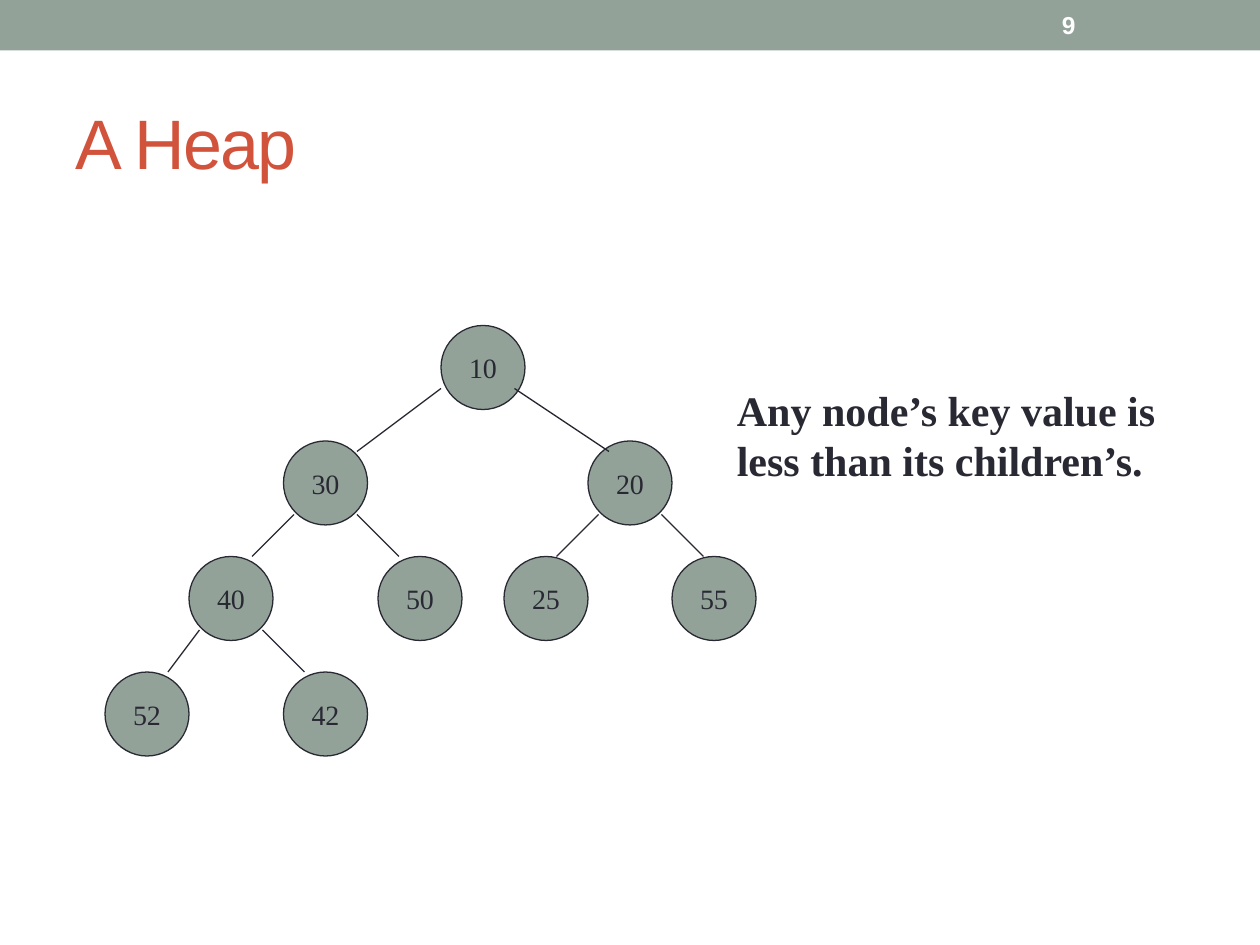
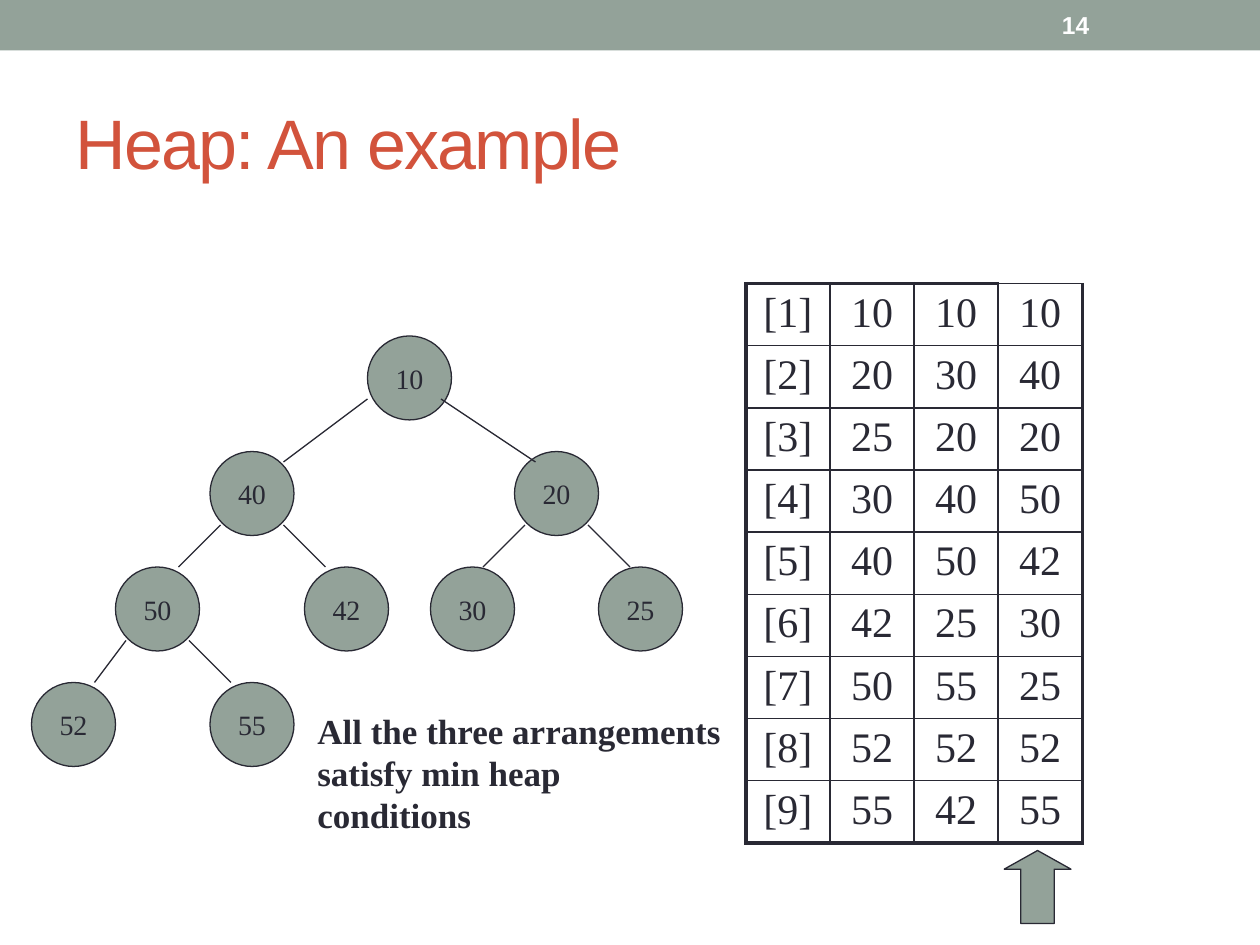
"""Build two slides that show a heap as a tree and as an array."""
from dataclasses import dataclass

from lxml import etree
from pptx import Presentation
from pptx.dml.color import RGBColor
from pptx.enum.shapes import MSO_CONNECTOR, MSO_SHAPE
from pptx.enum.text import MSO_ANCHOR, MSO_AUTO_SIZE, PP_ALIGN
from pptx.oxml.ns import qn
from pptx.util import Inches, Pt

RECTANGLE, CIRCLE, UP_ARROW = MSO_SHAPE.RECTANGLE, MSO_SHAPE.OVAL, MSO_SHAPE.UP_ARROW
STRAIGHT = MSO_CONNECTOR.STRAIGHT
MIDDLE, TOP = MSO_ANCHOR.MIDDLE, MSO_ANCHOR.TOP
LEFT, CENTER = PP_ALIGN.LEFT, PP_ALIGN.CENTER
NO_FIT = MSO_AUTO_SIZE.NONE
TITLE_ONLY = 5


@dataclass(frozen=True)
class Theme:
    sage: RGBColor = RGBColor(0x93, 0xA2, 0x99)
    ink: RGBColor = RGBColor(0x29, 0x29, 0x34)
    red: RGBColor = RGBColor(0xD2, 0x53, 0x3C)
    white: RGBColor = RGBColor(0xFF, 0xFF, 0xFF)
    sans: str = "Arial"
    serif: str = "Times New Roman"
    title_size: int = 40
    number_size: int = 14
    node_size: int = 16
    cell_size: int = 24
    first_caption_size: int = 24
    second_caption_size: int = 20
    thin: float = 0.75
    grid: float = 1
    frame: float = 2.25


GRID_STEP = 1 / 12
NODE_STEPS = 8
NODE_OFFSETS = [
    (0, 0),
    (-15, 11), (14, 11),
    (-24, 22), (-6, 22), (6, 22), (22, 22),
    (-32, 33), (-15, 33),
]
EDGE_OFFSETS = [
    (0, 6, -8, 12), (7, 6, 16, 12),
    (-14, 18, -18, 22), (-8, 18, -4, 22), (15, 18, 11, 22), (21, 18, 25, 22),
    (-23, 29, -26, 33), (-17, 29, -13, 33),
]

SORTED_HEAP = [10, 20, 25, 30, 40, 42, 50, 52, 55]
FIRST_HEAP = [10, 30, 20, 40, 50, 25, 55, 52, 42]
LAST_HEAP = [10, 40, 20, 50, 42, 30, 25, 52, 55]


def apply_format(target, values):
    for name, value in values.items():
        setattr(target, name, value)


class HeapDeck:
    def __init__(self, theme):
        self.theme = theme
        self.slide = None
        self.presentation = Presentation()
        apply_format(self.presentation, {"slide_width": Inches(10), "slide_height": Inches(7.5)})
        self.layout = self.presentation.slide_layouts[TITLE_ONLY]

    def start_slide(self, title, number):
        first = self.slide is None
        self.slide = self.presentation.slides.add_slide(self.layout)
        if first:
            self.share_band()
        self.add_title(title)
        self.add_text([number], (8.33, 0.02, 1.17, 0.36), self.theme.number_size,
                      self.theme.sans, self.theme.white, MIDDLE)

    def share_band(self):
        band = self.add_shape(RECTANGLE, (0, 0, 10, 0.4))
        band.line.fill.background()
        self.layout.element.cSld.spTree.insert(2, band.element)

    def add_title(self, title):
        theme = self.theme
        placeholder = self.slide.shapes.title
        box = zip(("left", "top", "width", "height"), map(Inches, (0.5, 0.58, 9, 1.08)))
        apply_format(placeholder, dict(box))
        self.set_text(placeholder.text_frame, [title], theme.title_size, theme.sans, theme.red)
        run = placeholder.text_frame.paragraphs[0].runs[0]
        run.font._element.set("spc", "-100")

    def set_text(self, frame, lines, size, font, color, bold=False, align=LEFT,
                 anchor=MIDDLE, wrap=True):
        apply_format(frame, {"auto_size": NO_FIT, "word_wrap": wrap, "vertical_anchor": anchor})
        self.add_lines(frame, lines, size, font, color, bold, align)

    def add_lines(self, frame, lines, size, font, color, bold, align):
        for index, line in enumerate(lines):
            paragraph = frame.add_paragraph() if index else frame.paragraphs[0]
            paragraph.alignment = align
            run = paragraph.add_run()
            run.text = line
            apply_format(run.font, {"size": Pt(size), "name": font, "bold": bold})
            run.font.color.rgb = color

    def add_text(self, lines, box, size, font, color, anchor=TOP):
        shape = self.slide.shapes.add_textbox(*map(Inches, box))
        self.set_text(shape.text_frame, lines, size, font, color, bold=True, anchor=anchor)

    def add_caption(self, lines, box, size):
        self.add_text(lines, box, size, self.theme.serif, self.theme.ink)

    def add_shape(self, kind, box):
        shape = self.slide.shapes.add_shape(kind, *map(Inches, box))
        shape.shadow.inherit = False
        shape.fill.solid()
        shape.fill.fore_color.rgb = self.theme.sage
        self.format_line(shape.line)
        return shape

    def format_line(self, line):
        line.color.rgb = self.theme.ink
        line.width = Pt(self.theme.thin)

    def add_node(self, key, left, top):
        size = NODE_STEPS * GRID_STEP
        node = self.add_shape(CIRCLE, (left, top, size, size))
        self.set_text(node.text_frame, [str(key)], self.theme.node_size, self.theme.serif,
                      self.theme.ink, align=CENTER, wrap=False)

    def add_edge(self, ends):
        edge = self.slide.shapes.add_connector(STRAIGHT, *map(Inches, ends))
        self.format_line(edge.line)
        etree.SubElement(edge.element.spPr, qn("a:effectLst"))

    def add_tree(self, keys, root_column, root_row):
        for key, (column, row) in zip(keys, NODE_OFFSETS):
            self.add_node(key, (root_column + column) * GRID_STEP, (root_row + row) * GRID_STEP)
        root = (root_column, root_row) * 2
        for offsets in EDGE_OFFSETS:
            self.add_edge([(start + step) * GRID_STEP for start, step in zip(root, offsets)])

    def add_table(self, rows, box):
        theme = self.theme
        last_row, last_column = len(rows) - 1, len(rows[0]) - 1
        table = self.slide.shapes.add_table(
            len(rows), len(rows[0]), *map(Inches, box)).table
        apply_format(table, {"first_row": False, "horz_banding": False})
        for row_index, row in enumerate(rows):
            for column_index, text in enumerate(row):
                cell = table.cell(row_index, column_index)
                self.add_lines(cell.text_frame, [text], theme.cell_size, theme.serif,
                               theme.ink, False, CENTER)
                self.add_borders(cell, {
                    "lnL": column_index == 0,
                    "lnR": column_index == last_column,
                    "lnT": row_index == 0 and column_index < last_column,
                    "lnB": row_index == last_row,
                })
                cell.fill.background()

    def add_borders(self, cell, outer_sides):
        properties = cell._tc.get_or_add_tcPr()
        for side, is_outer in outer_sides.items():
            width = self.theme.frame if is_outer else self.theme.grid
            line = etree.SubElement(properties, qn(f"a:{side}"), w=str(Pt(width)))
            fill = etree.SubElement(line, qn("a:solidFill"))
            etree.SubElement(fill, qn("a:srgbClr"), val=str(self.theme.ink))

    def add_up_arrow(self, box):
        arrow = self.add_shape(UP_ARROW, box)
        arrow.adjustments[0] = 0.5
        arrow.adjustments[1] = 0.28


def build_heap_slide(deck):
    deck.start_slide("A Heap", "9")
    deck.add_tree(FIRST_HEAP, 42, 31)
    deck.add_caption(["Any node’s key value is", "less than its children’s."],
                     (5.75, 3, 3.54, 0.9), deck.theme.first_caption_size)


def build_example_slide(deck):
    deck.start_slide("Heap: An example", "14")
    deck.add_tree(LAST_HEAP, 35, 32)
    arrangements = zip(SORTED_HEAP, FIRST_HEAP, LAST_HEAP)
    rows = [[f"[{index}]", *map(str, keys)] for index, keys in enumerate(arrangements, 1)]
    deck.add_table(rows, (5.92, 2.25, 2.67, 4.44))
    deck.add_up_arrow((7.97, 6.75, 0.53, 0.58))
    deck.add_caption(["All the three arrangements", "satisfy min heap conditions"],
                     (2.42, 5.58, 3.41, 0.77), deck.theme.second_caption_size)


def main():
    deck = HeapDeck(Theme())
    build_heap_slide(deck)
    build_example_slide(deck)
    deck.presentation.save("out.pptx")


if __name__ == "__main__":
    main()
